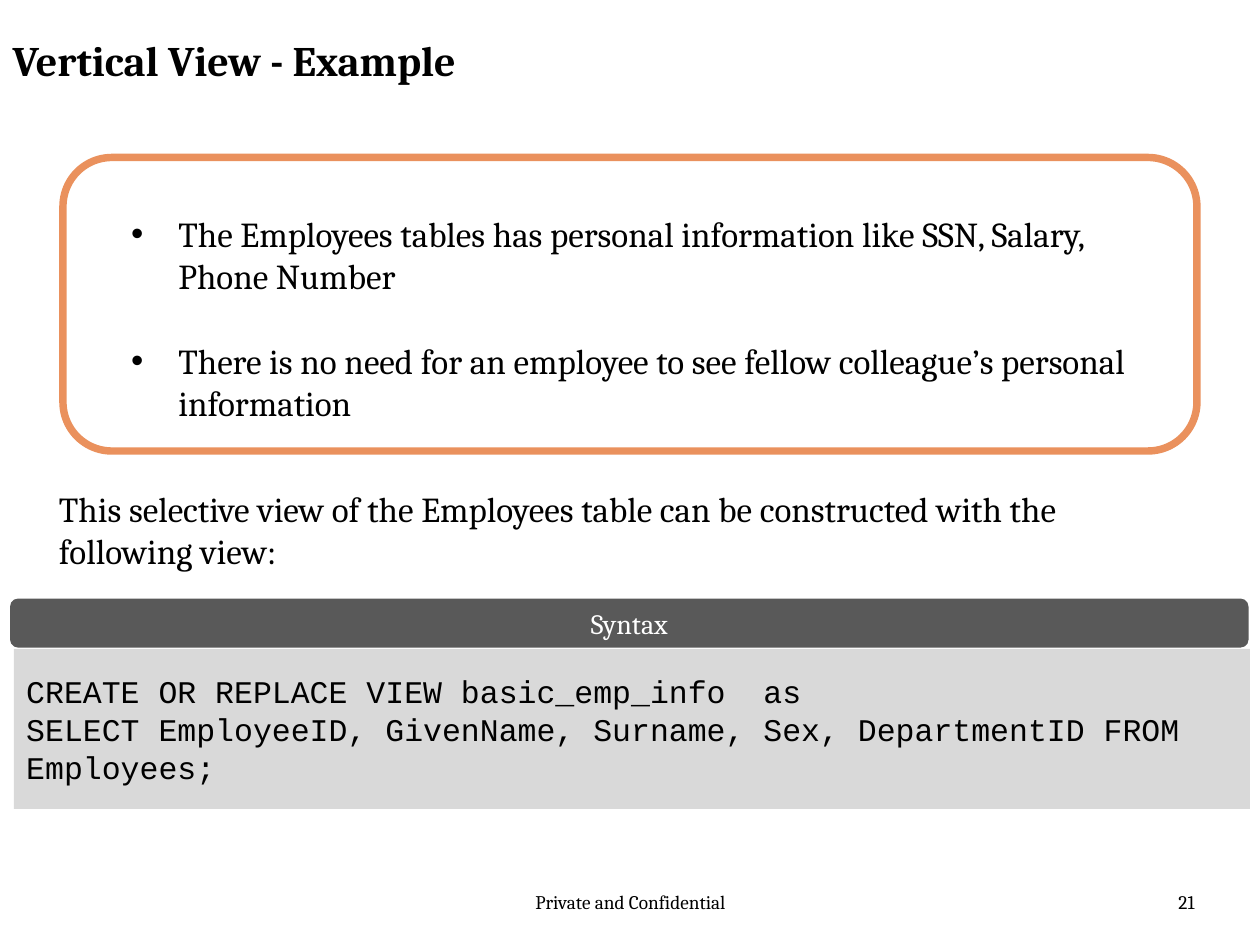
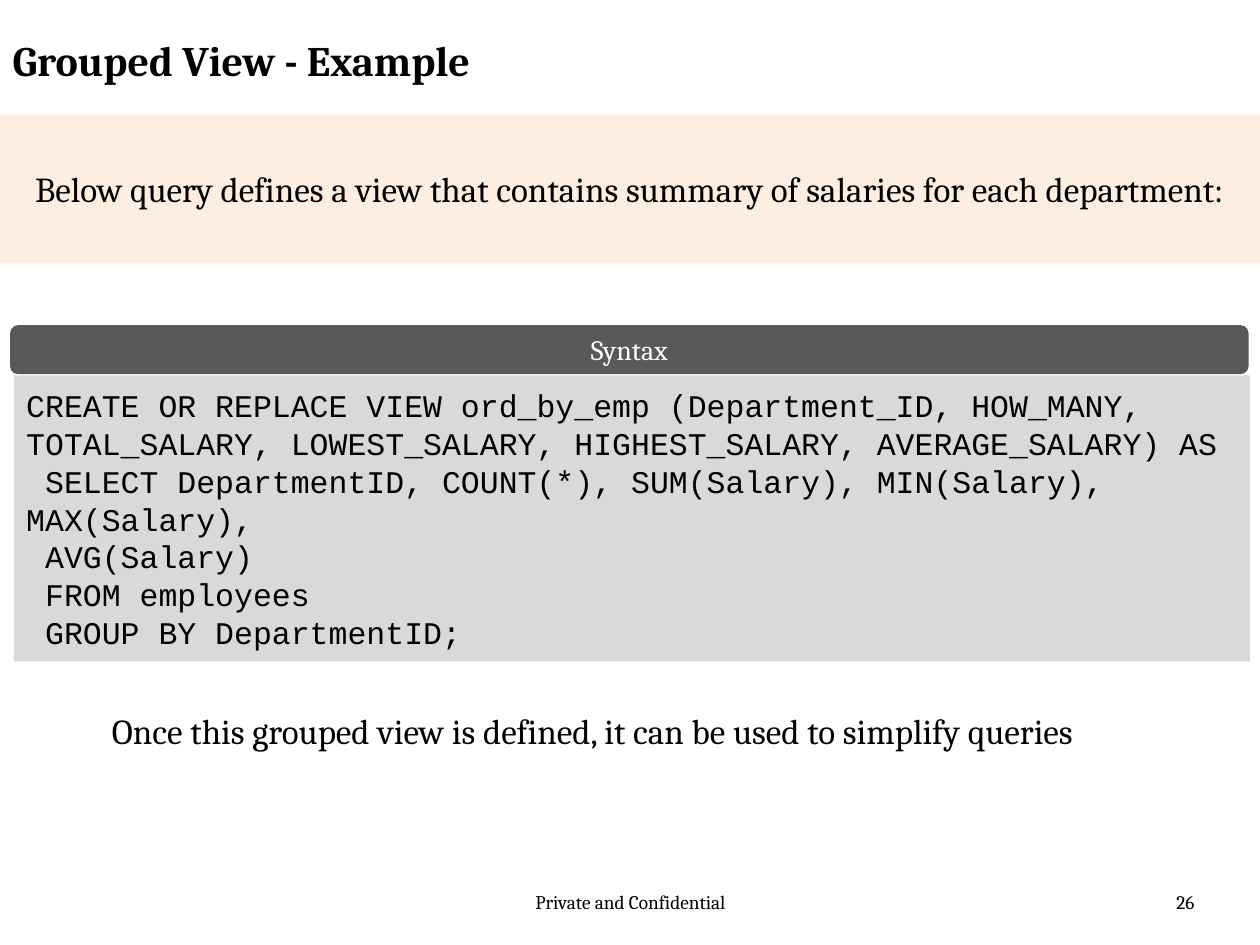
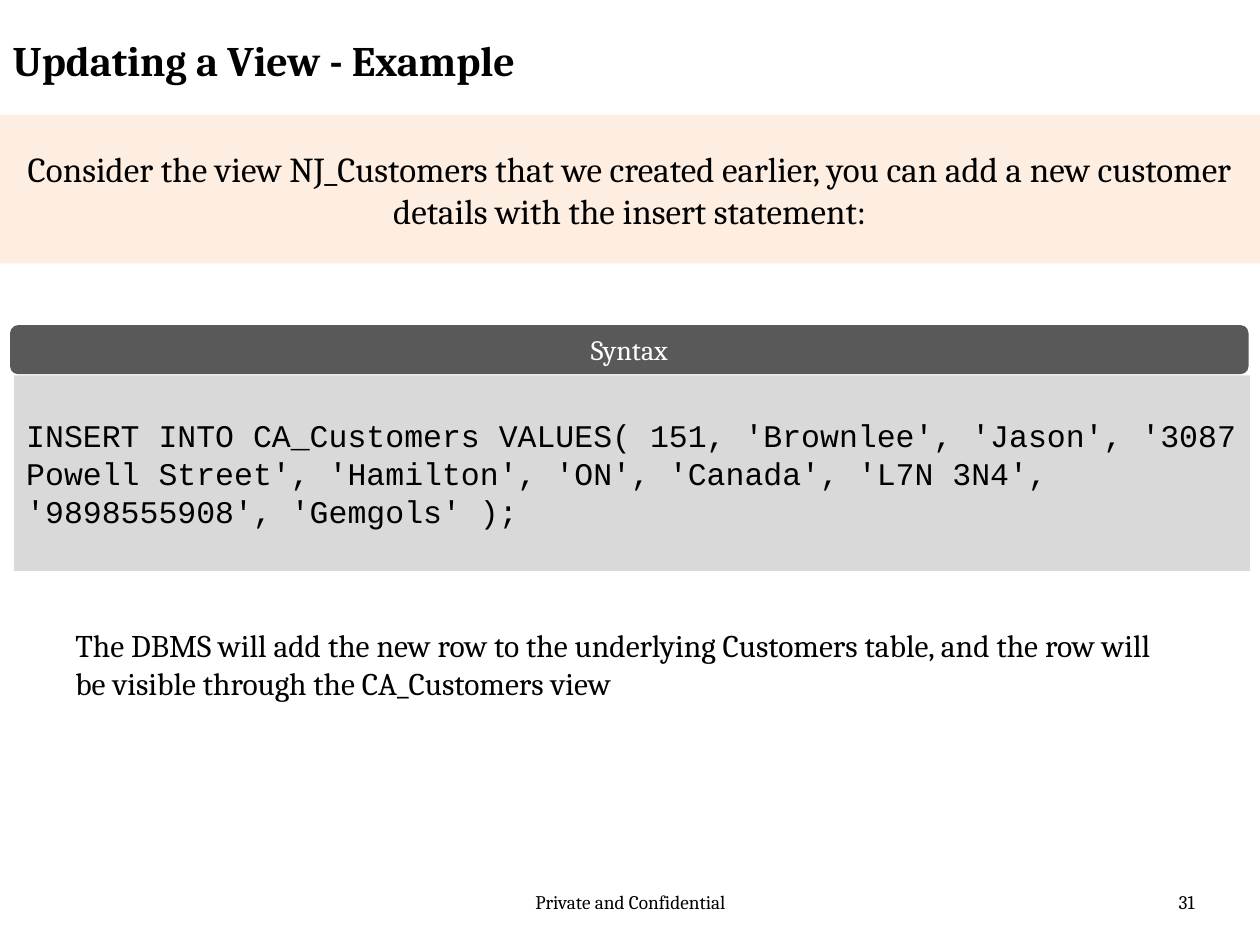
from lxml import etree
from pptx import Presentation
from pptx import util as u
from pptx.dml.color import RGBColor
from pptx.enum import shapes, text
from pptx.oxml.ns import qn

BLACK = RGBColor(0x00, 0x00, 0x00)
WHITE = RGBColor(0xFF, 0xFF, 0xFF)
DARK = RGBColor(0x59, 0x59, 0x59)
GREY = RGBColor(0xD9, 0xD9, 0xD9)
PEACH = RGBColor(0xFD, 0xEA, 0xDA)
AMBER = RGBColor(0xEA, 0x91, 0x5D)

LEFT, MID, RIGHT = text.PP_ALIGN.LEFT, text.PP_ALIGN.CENTER, text.PP_ALIGN.RIGHT
TOP, HALF = text.MSO_ANCHOR.TOP, text.MSO_ANCHOR.MIDDLE
ROUND = shapes.MSO_SHAPE.ROUNDED_RECTANGLE
RECT = shapes.MSO_SHAPE.RECTANGLE


def write(shape, lines, size, align=LEFT, anchor=TOP, color=BLACK,
          name="Cambria", bold=False, before=0, gap=0):
    frame = shape.text_frame
    frame.text = "\n".join(lines)
    look = {"word_wrap": True, "auto_size": text.MSO_AUTO_SIZE.NONE,
            "vertical_anchor": anchor}
    for key, value in look.items():
        setattr(frame, key, value)
    for i, par in enumerate(frame.paragraphs):
        par.alignment = align
        par.space_before = u.Pt(gap if i else before)
        font = par.runs[0].font
        for key, value in {"name": name, "size": u.Pt(size), "bold": bold}.items():
            setattr(font, key, value)
        font.color.rgb = color


def draw(slide, kind, box, fill=None):
    shape = slide.shapes.add_shape(kind, *map(u.Inches, box))
    shape.shadow.inherit = False
    shape.line.fill.background()
    if fill is None:
        shape.fill.background()
    else:
        shape.fill.solid()
        shape.fill.fore_color.rgb = fill
    return shape


pages = [
    {
        "title": "Vertical View - Example", "page": "21", "top": 4.75, "high": 1.27,
        "list": [
            "The Employees tables has personal information like SSN, Salary, Phone Number",
            "There is no need for an employee to see fellow colleague’s personal information",
        ],
        "code": [
            "CREATE OR REPLACE VIEW basic_emp_info  as",
            "SELECT EmployeeID, GivenName, Surname, Sex, DepartmentID FROM Employees;",
        ],
        "note": "This selective view of the Employees table can be constructed with the following view:",
        "spot": (0.37, 3.82, 9, 0.77), "size": 20,
    },
    {
        "title": "Grouped View - Example", "page": "26", "top": 2.58, "high": 2.27,
        "band": "Below query defines a view that contains summary of salaries for each department:",
        "code": [
            "CREATE OR REPLACE VIEW ord_by_emp (Department_ID, HOW_MANY, TOTAL_SALARY, "
            "LOWEST_SALARY, HIGHEST_SALARY, AVERAGE_SALARY) AS",
            " SELECT DepartmentID, COUNT(*), SUM(Salary), MIN(Salary), MAX(Salary),",
            " AVG(Salary)",
            " FROM employees",
            " GROUP BY DepartmentID;",
        ],
        "note": "Once this grouped view is defined, it can be used to simplify queries",
        "spot": (0.79, 5.58, 8.42, 0.44), "size": 20,
    },
    {
        "title": "Updating a View - Example", "page": "31", "top": 2.58, "high": 1.55,
        "band": "Consider the view NJ_Customers that we created earlier, you can add a new "
                "customer details with the insert statement:",
        "code": [
            "INSERT INTO CA_Customers VALUES( 151, 'Brownlee', 'Jason', '3087 Powell Street', "
            "'Hamilton', 'ON', 'Canada', 'L7N 3N4', '9898555908', 'Gemgols' );",
        ],
        "note": "The DBMS will add the new row to the underlying Customers table, and the row "
                "will be visible through the CA_Customers view",
        "spot": (0.5, 4.92, 9, 0.71), "size": 18,
    },
]

deck = Presentation()
deck.slide_width, deck.slide_height = u.Inches(10), u.Inches(7.5)
sides = ("left", "top", "width", "height")

for page in pages:
    slide = deck.slides.add_slide(deck.slide_layouts[1 if "list" in page else 5])

    title = slide.shapes.title
    for side, value in zip(sides, (0, 0.22, 7.59, 0.62)):
        setattr(title, side, u.Inches(value))
    write(title, [page["title"]], 24, bold=True)

    if "list" in page:
        frame = draw(slide, ROUND, (0.5, 1.25, 9, 2.33))
        frame.line.color.rgb = AMBER
        frame.line.width = u.Pt(4.25)
        body = slide.placeholders[1]
        for side, value in zip(sides, (0.94, 1.64, 8.12, 1.56)):
            setattr(body, side, u.Inches(value))
        write(body, page["list"], 20, gap=24)
    else:
        band = draw(slide, RECT, (0, 0.91, 10, 1.18), PEACH)
        tint = band.fill._xPr.find(".//" + qn("a:srgbClr"))
        etree.SubElement(tint, qn("a:alpha"), val="79000")
        write(band, [page["band"]], 20, MID, HALF, before=4)

    head = draw(slide, ROUND, (0.08, page["top"], 9.83, 0.39), DARK)
    write(head, ["Syntax"], 16, MID, HALF, WHITE)
    code = draw(slide, ROUND, (0.11, page["top"] + 0.4, 9.81, page["high"]), GREY)
    code.adjustments[0] = 0
    write(code, page["code"], 18, anchor=HALF, name="Courier New")

    for words, box, size, align in (
        (page["note"], page["spot"], page["size"], LEFT),
        ("Private and Confidential", (3.42, 7.02, 3.17, 0.4), 11, MID),
        (page["page"], (7.25, 7.02, 2.33, 0.4), 11, RIGHT),
    ):
        label = slide.shapes.add_textbox(*map(u.Inches, box))
        write(label, [words], size, align)

deck.save("out.pptx")
